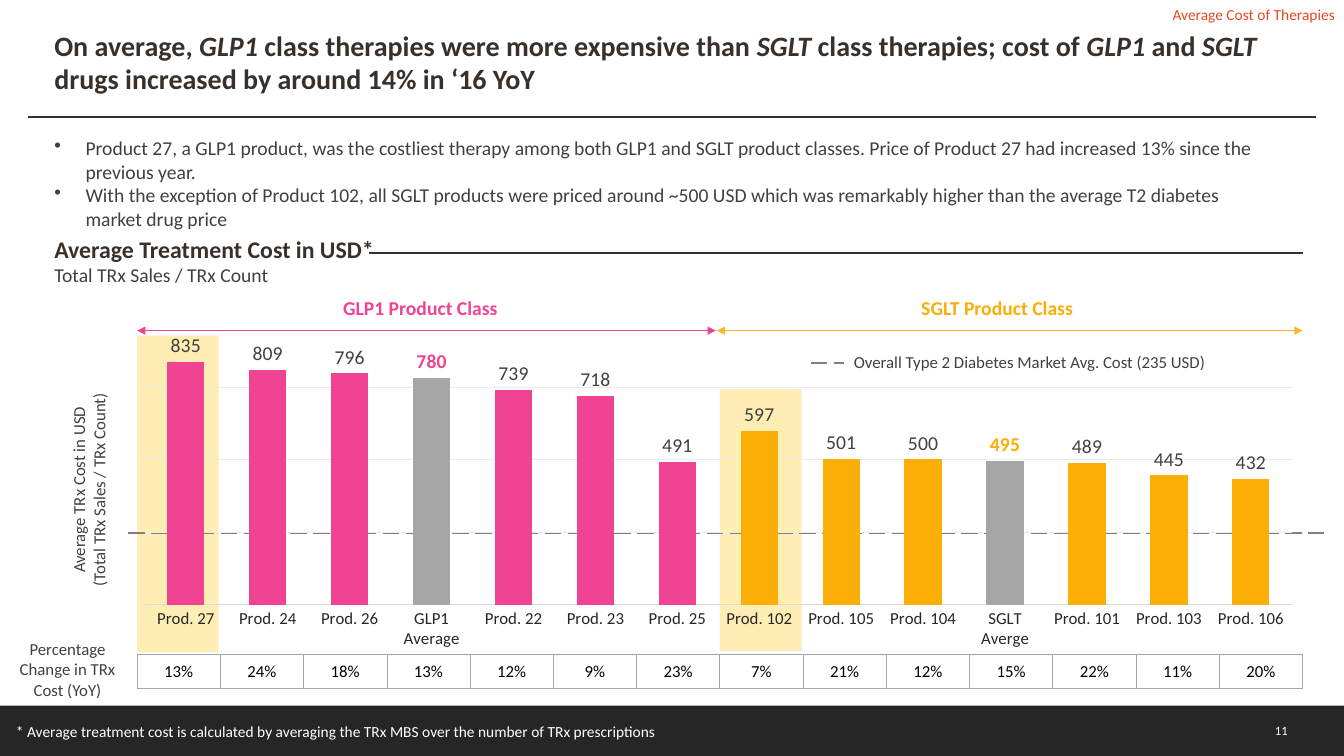
import dataclasses
import lxml.etree
import pptx
import pptx.chart.chart
import pptx.chart.data
import pptx.dml.color
import pptx.dml.fill
import pptx.enum.chart
import pptx.enum.dml
import pptx.enum.shapes
import pptx.enum.text
import pptx.oxml
import pptx.oxml.ns
import pptx.slide
import pptx.text.text
import pptx.util

EMU_PER_PX = 9144
FONT = "Calibri"
PINK, AMBER, GREY = "F04393", "FAAE06", "A6A6A6"
BODY, HEADING, DASH, WHITE = "404040", "39302A", "808080", "FFFFFF"
LEFT = pptx.enum.text.PP_ALIGN.LEFT
CENTER = pptx.enum.text.PP_ALIGN.CENTER
RIGHT = pptx.enum.text.PP_ALIGN.RIGHT
MIDDLE = pptx.enum.text.MSO_ANCHOR.MIDDLE


@dataclasses.dataclass(frozen=True)
class Box:
    x: int
    y: int
    w: int
    h: int


@dataclasses.dataclass(frozen=True)
class Rule:
    x1: int
    x2: int
    y: int
    color: str
    width: float = 1
    dashed: bool = False
    arrows: bool = False


@dataclasses.dataclass(frozen=True)
class Product:
    name: str
    cost: int
    change: str
    color: str
    label_color: str = ""


PRODUCTS = [
    Product("Prod. 27", 835, "13%", PINK),
    Product("Prod. 24", 809, "24%", PINK),
    Product("Prod. 26", 796, "18%", PINK),
    Product("GLP1 Average", 780, "13%", GREY, PINK),
    Product("Prod. 22", 739, "12%", PINK),
    Product("Prod. 23", 718, "9%", PINK),
    Product("Prod. 25", 491, "23%", PINK),
    Product("Prod. 102", 597, "7%", AMBER),
    Product("Prod. 105", 501, "21%", AMBER),
    Product("Prod. 104", 500, "12%", AMBER),
    Product("SGLT Averge", 495, "15%", GREY, AMBER),
    Product("Prod. 101", 489, "22%", AMBER),
    Product("Prod. 103", 445, "11%", AMBER),
    Product("Prod. 106", 432, "20%", AMBER),
]


def px(length: int) -> pptx.util.Emu:
    return pptx.util.Emu(length * EMU_PER_PX)


def rgb(color: str) -> pptx.dml.color.RGBColor:
    return pptx.dml.color.RGBColor.from_string(color)


def paint(fill: pptx.dml.fill.FillFormat, color: str) -> None:
    fill.solid()
    fill.fore_color.rgb = rgb(color)


def style(font: pptx.text.text.Font, size: float, color: str, bold: bool = False) -> None:
    font.name = FONT
    font.size = pptx.util.Pt(size)
    font.bold = bold
    font.color.rgb = rgb(color)


def write(frame: pptx.text.text.TextFrame, text: str, *, size: float = 12, color: str = BODY,
          bold: bool = False, align: pptx.enum.text.PP_ALIGN = LEFT, bullet: bool = False) -> None:
    paragraph = frame.add_paragraph() if frame.text else frame.paragraphs[0]
    paragraph.alignment = align
    if bullet:
        properties = paragraph._p.get_or_add_pPr()
        properties.set("marL", str(px(31)))
        properties.set("indent", str(px(-31)))
        mark = lxml.etree.SubElement(properties, pptx.oxml.ns.qn("a:buChar"))
        mark.set("char", "•")
    for index, part in enumerate(text.split("_")):
        if part:
            run = paragraph.add_run()
            run.text = part
            style(run.font, size, color, bold)
            run.font.italic = index % 2 == 1


def text_box(slide: pptx.slide.Slide, box: Box, rotation: int = 0) -> pptx.text.text.TextFrame:
    shape = slide.shapes.add_textbox(px(box.x), px(box.y), px(box.w), px(box.h))
    shape.rotation = rotation
    shape.text_frame.word_wrap = True
    return shape.text_frame


def rectangle(slide: pptx.slide.Slide, box: Box, color: str, opacity: int = 100) -> None:
    shape = slide.shapes.add_shape(pptx.enum.shapes.MSO_SHAPE.RECTANGLE,
                                   px(box.x), px(box.y), px(box.w), px(box.h))
    shape.shadow.inherit = False
    paint(shape.fill, color)
    shape.line.fill.background()
    if opacity < 100:
        tone = shape._element.spPr.find(".//" + pptx.oxml.ns.qn("a:srgbClr"))
        alpha = lxml.etree.SubElement(tone, pptx.oxml.ns.qn("a:alpha"))
        alpha.set("val", str(opacity * 1000))


def draw_rule(slide: pptx.slide.Slide, rule: Rule) -> None:
    connector = slide.shapes.add_connector(pptx.enum.shapes.MSO_CONNECTOR.STRAIGHT,
                                           px(rule.x1), px(rule.y), px(rule.x2), px(rule.y))
    connector.line.color.rgb = rgb(rule.color)
    connector.line.width = pptx.util.Pt(rule.width)
    if rule.dashed:
        connector.line.dash_style = pptx.enum.dml.MSO_LINE.LONG_DASH
    if rule.arrows:
        for end in ("a:headEnd", "a:tailEnd"):
            arrow = lxml.etree.SubElement(connector.line._get_or_add_ln(), pptx.oxml.ns.qn(end))
            arrow.set("type", "triangle")
    lxml.etree.SubElement(connector._element.spPr, pptx.oxml.ns.qn("a:effectLst"))


def change_table(slide: pptx.slide.Slide, box: Box) -> None:
    table = slide.shapes.add_table(1, len(PRODUCTS), px(box.x), px(box.y), px(box.w), px(box.h)).table
    table.first_row = table.horz_banding = False
    for cell, product in zip(table.iter_cells(), PRODUCTS):
        cell.vertical_anchor = MIDDLE
        cell.margin_left = cell.margin_right = cell.margin_top = cell.margin_bottom = px(7)
        write(cell.text_frame, product.change, color="000000", align=CENTER)
        properties = cell._tc.get_or_add_tcPr()
        for side in ("lnL", "lnR", "lnT", "lnB"):
            properties.append(pptx.oxml.parse_xml(
                f'<a:{side} {pptx.oxml.ns.nsdecls("a")} w="6350"><a:solidFill>'
                f'<a:srgbClr val="{GREY}"/></a:solidFill></a:{side}>'))
        cell.fill.background()


def place_plot(chart: pptx.chart.chart.Chart) -> None:
    plot_area = chart._chartSpace.chart.plotArea
    for old in plot_area.findall(pptx.oxml.ns.qn("c:layout")):
        plot_area.remove(old)
    namespaces = pptx.oxml.ns.nsdecls("c", "a")
    plot_area.insert(0, pptx.oxml.parse_xml(
        f'<c:layout {namespaces}><c:manualLayout><c:layoutTarget val="inner"/>'
        '<c:xMode val="edge"/><c:yMode val="edge"/><c:x val="0.02"/><c:y val="0.02"/>'
        '<c:w val="0.96"/><c:h val="0.83"/></c:manualLayout></c:layout>'))
    chart._chartSpace.chart.addnext(pptx.oxml.parse_xml(
        f'<c:spPr {namespaces}><a:noFill/><a:ln><a:noFill/></a:ln></c:spPr>'))


def cost_chart(slide: pptx.slide.Slide, box: Box) -> None:
    data = pptx.chart.data.CategoryChartData()
    data.categories = [product.name for product in PRODUCTS]
    data.add_series("Series 1", [product.cost for product in PRODUCTS])
    chart = slide.shapes.add_chart(pptx.enum.chart.XL_CHART_TYPE.COLUMN_CLUSTERED,
                                   px(box.x), px(box.y), px(box.w), px(box.h), data).chart
    style(chart.font, 10, "000000")
    chart.has_legend = chart.has_title = False
    place_plot(chart)
    names, costs = chart.category_axis, chart.value_axis
    names.major_tick_mark = pptx.enum.chart.XL_TICK_MARK.NONE
    style(names.tick_labels.font, 12, "262626")
    names.format.line.color.rgb = rgb("D9D9D9")
    names.format.line.width = pptx.util.Pt(0.75)
    costs.visible = False
    costs.minimum_scale, costs.maximum_scale, costs.major_unit = 0, 999, 250
    costs.major_gridlines.format.line.color.rgb = rgb("EEEAE7")
    costs.major_gridlines.format.line.width = pptx.util.Pt(0.25)
    plot = chart.plots[0]
    plot.vary_by_categories = False
    plot.gap_width, plot.overlap = 120, -27
    bars = plot.series[0]
    paint(bars.format.fill, PINK)
    above = pptx.enum.chart.XL_LABEL_POSITION.OUTSIDE_END
    bars.data_labels.show_value = True
    bars.data_labels.position = above
    style(bars.data_labels.font, 14, BODY)
    for index, product in enumerate(PRODUCTS):
        if product.color != PINK:
            paint(bars.points[index].format.fill, product.color)
        if product.label_color:
            label = bars.points[index].data_label
            style(label.font, 14, product.label_color, bold=True)
            label.position = above


def main() -> None:
    deck = pptx.Presentation()
    deck.slide_width, deck.slide_height = px(1333), px(750)
    slide = deck.slides.add_slide(deck.slide_layouts[6])
    rectangle(slide, Box(0, 700, 1333, 50), "262626")
    change_table(slide, Box(136, 649, 1156, 34))
    for highlight in (Box(136, 333, 81, 314), Box(714, 386, 81, 260)):
        rectangle(slide, highlight, "FFCA08", opacity=30)
    for rule in (Rule(136, 710, 328, PINK, arrows=True),
                 Rule(711, 1292, 328, "FAB826", arrows=True),
                 Rule(28, 1305, 116, HEADING),
                 Rule(366, 1292, 251, HEADING),
                 Rule(127, 1313, 529, DASH, 1.5, dashed=True),
                 Rule(804, 837, 360, DASH, 1.5, dashed=True)):
        draw_rule(slide, rule)

    axis_title = text_box(slide, Box(-49, 461, 274, 50), rotation=270)
    write(axis_title, "Average TRx Cost in USD", align=CENTER)
    write(axis_title, "(Total TRx Sales / TRx Count)", align=CENTER)
    for x, name, color in ((298, "GLP1", PINK), (870, "SGLT", AMBER)):
        write(text_box(slide, Box(x, 289, 238, 34)), f"{name} Product Class",
              size=14, color=color, bold=True, align=CENTER)
    write(text_box(slide, Box(-2, 629, 138, 71)), "Percentage Change in TRx Cost (YoY)", align=CENTER)
    chart_heading = text_box(slide, Box(44, 228, 688, 62))
    write(chart_heading, "Average Treatment Cost in USD*", size=17, color=HEADING, bold=True)
    write(chart_heading, "Total TRx Sales / TRx Count", size=14)
    write(text_box(slide, Box(44, 23, 1261, 77)),
          "On average, _GLP1_ class therapies were more expensive than _SGLT_ class therapies; "
          "cost of _GLP1_ and _SGLT_ drugs increased by around 14% in ‘16 YoY",
          size=20, color=HEADING, bold=True)
    page_number = text_box(slide, Box(1202, 705, 85, 40))
    page_number.vertical_anchor = MIDDLE
    write(page_number, "11", size=9, color=WHITE, align=RIGHT)
    findings = text_box(slide, Box(44, 130, 1230, 104))
    write(findings, "Product 27, a GLP1 product, was the costliest therapy among both GLP1 and SGLT product "
          "classes. Price of Product 27 had increased 13% since the previous year.", size=14, bullet=True)
    write(findings, "With the exception of Product 102, all SGLT products were priced around ~500 USD which was "
          "remarkably higher than the average T2 diabetes market drug price", size=14, bullet=True)
    write(text_box(slide, Box(1107, 0, 227, 29)), "Average Cost of Therapies",
          size=11, color="E64823", align=RIGHT)
    write(text_box(slide, Box(837, 344, 451, 30)), "Overall Type 2 Diabetes Market Avg. Cost (235 USD)")
    cost_chart(slide, Box(120, 305, 1185, 347))
    write(text_box(slide, Box(6, 711, 887, 29)),
          "* Average treatment cost is calculated by averaging the TRx MBS over the number of TRx prescriptions",
          size=11, color=WHITE)
    deck.save("out.pptx")


if __name__ == "__main__":
    main()
